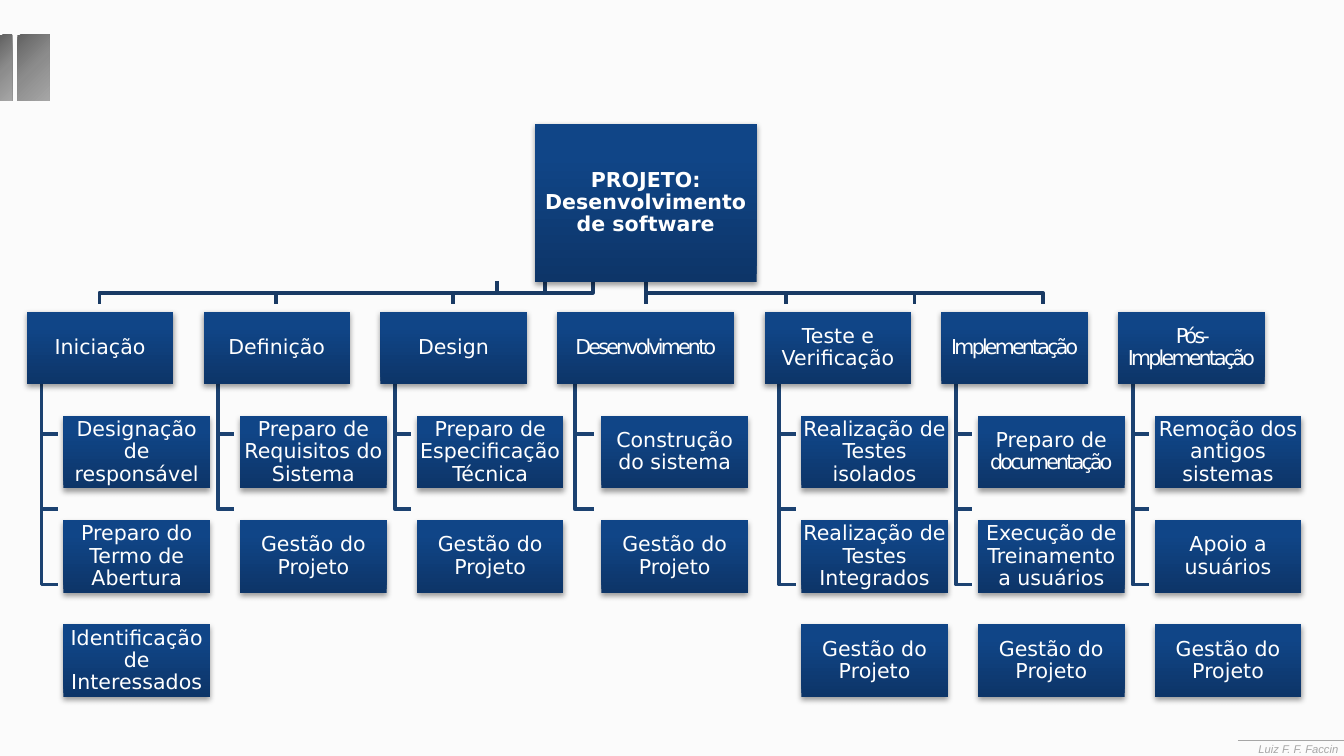
from lxml import etree
from pptx import Presentation
from pptx.dml.color import RGBColor
from pptx.enum.shapes import MSO_CONNECTOR, MSO_SHAPE
from pptx.enum.text import MSO_ANCHOR, PP_ALIGN
from pptx.oxml.ns import qn
from pptx.util import Inches, Pt

RECTANGLE = MSO_SHAPE.RECTANGLE
STRAIGHT = MSO_CONNECTOR.STRAIGHT
MIDDLE = MSO_ANCHOR.MIDDLE
CENTER = PP_ALIGN.CENTER

PAGE_WIDTH, PAGE_HEIGHT = 10, 10 * 9 / 16
BLUE_STOPS = [(0, "0D3568"), (80, "104587"), (100, "0E458A")]
GREY_STOPS = [(0, "626262"), (50, "8C8C8C"), (100, "A6A6A6")]
TRUNK_COLOR, SPINE_COLOR = "193A64", "1C4271"
GREY, WHITE, PAPER = "A6A6A6", "FFFFFF", "FBFBFB"

BOX_WIDTH, BOX_HEIGHT = 1.09, 0.54
PHASE_GAP, TASK_PITCH, TICK_PITCH = 0.45 / 2, 1.55 / 2, 0.56
TIGHT_WORDS = {"Desenvolvimento", "Implementação", "Pós-Implementação", "documentação"}
MANAGEMENT = ["Gestão do Projeto"]

PHASES = [
    ("Iniciação", BOX_WIDTH, [["Designação de responsável"], ["Preparo do Termo de Abertura"],
                              ["Identificação de Interessados"]]),
    ("Definição", BOX_WIDTH, [["Preparo de Requisitos do Sistema"], MANAGEMENT]),
    ("Design", BOX_WIDTH, [["Preparo de Especificação Técnica"], MANAGEMENT]),
    ("Desenvolvimento", 1.32, [["Construção do sistema"], MANAGEMENT]),
    ("Teste e Verificação", BOX_WIDTH, [["Realização de Testes isolados"],
                                        ["Realização de Testes Integrados"], MANAGEMENT]),
    ("Implementação", BOX_WIDTH, [["Preparo de ", "documentação"],
                                  ["Execução de Treinamento a usuários"], MANAGEMENT]),
    ("Pós-Implementação", BOX_WIDTH, [["Remoção dos antigos sistemas"],
                                      ["Apoio a usuários"], MANAGEMENT]),
]


def color(value):
    """Turn a hex string into a colour."""
    return RGBColor.from_string(value)


def add_gradient_box(page, left, top, width, height, stops, angle):
    """Add a borderless rectangle with a gradient, its angle counter-clockwise."""
    box = page.shapes.add_shape(RECTANGLE, Inches(left), Inches(top), Inches(width), Inches(height))
    box.shadow.inherit = False
    box.line.fill.background()
    box.fill.gradient()
    box.fill.gradient_angle = angle
    stop_list = box._element.spPr.find(".//" + qn("a:gsLst"))
    for old_stop in list(stop_list):
        stop_list.remove(old_stop)
    for position, value in stops:
        stop = etree.SubElement(stop_list, qn("a:gs"), pos=str(position * 1000))
        etree.SubElement(stop, qn("a:srgbClr"), val=value)
    return box


def add_drop_shadow(box):
    """Give a box a soft shadow falling straight down."""
    effects = box._element.spPr.find(qn("a:effectLst"))
    shadow = etree.SubElement(effects, qn("a:outerShdw"), blurRad=str(Pt(3.1)), dist=str(Pt(1.6)),
                              dir="5400000", rotWithShape="0")
    tint = etree.SubElement(shadow, qn("a:srgbClr"), val="000000")
    etree.SubElement(tint, qn("a:alpha"), val="38000")


def set_margins(frame, margin):
    """Set all four text margins of a frame."""
    frame.margin_left = frame.margin_right = Inches(margin)
    frame.margin_top = frame.margin_bottom = Inches(margin)


def add_chart_box(page, left, top, width, height, texts, bold=False):
    """Add one labelled blue box of the breakdown."""
    box = add_gradient_box(page, left, top, width, height, BLUE_STOPS, 90)
    add_drop_shadow(box)
    frame = box.text_frame
    frame.word_wrap = True
    frame.vertical_anchor = MIDDLE
    set_margins(frame, 0.01)
    para = frame.paragraphs[0]
    para.alignment = CENTER
    para.line_spacing = 0.9
    for text in texts:
        span = para.add_run()
        span.text = text
        span.font.size = Pt(11)
        span.font.name = "DejaVu Sans"
        span.font.bold = bold
        span.font.color.rgb = color(WHITE)
        if text in TIGHT_WORDS:
            span._r.get_or_add_rPr().set("spc", "-150")


def add_elbow(page, points, line_color):
    """Draw an open bent line through the points."""
    corners = [(Inches(x), Inches(y)) for x, y in points]
    builder = page.shapes.build_freeform(*corners[0])
    builder.add_line_segments(corners[1:], close=False)
    elbow = builder.convert_to_shape()
    elbow.shadow.inherit = False
    elbow.fill.background()
    elbow.line.color.rgb = color(line_color)
    elbow.line.width = Pt(2)


def add_decoration(page):
    """Add the grey marks at the left edge and the signature at the bottom right."""
    for left, width in ((0.13, 0.24), (0, 0.09)):
        add_gradient_box(page, left, 0.26, width, 0.49, GREY_STOPS, 315)
    rule = page.shapes.add_connector(STRAIGHT, Inches(9.21), Inches(5.51),
                                     Inches(PAGE_WIDTH), Inches(5.51))
    rule.line.color.rgb = color(GREY)
    rule.line.width = Pt(0.5)
    etree.SubElement(rule._element.spPr, qn("a:effectLst"))
    box = page.shapes.add_textbox(Inches(9.32), Inches(5.52), Inches(0.68), Inches(0.1))
    frame = box.text_frame
    frame.word_wrap = False
    set_margins(frame, 0)
    para = frame.paragraphs[0]
    para.alignment = CENTER
    span = para.add_run()
    span.text = "Luiz F. F. Faccin"
    span.font.size = Pt(6)
    span.font.name = "Arial"
    span.font.italic = True
    span.font.color.rgb = color(GREY)


def add_project(page, left, top, width, height):
    """Add the project box and the lines that leave it."""
    center, bottom = left + width / 2, top + height
    routes = [(3.70 + 0.71 / 2 * i, 0.74 + 2.63 / 2 * i) for i in range(3)]
    routes += [(center, center)]
    routes += [(center, 5.85 + 1.91 / 2 * i) for i in range(3)]
    for start, end in routes:
        points = [(start, bottom - 0.01), (start, bottom + 0.08),
                  (end, bottom + 0.08), (end, bottom + 0.16)]
        if start == end:
            points = [points[0], points[-1]]
        add_elbow(page, points, TRUNK_COLOR)
    add_chart_box(page, left, top, width, height, ["PROJETO: Desenvolvimento de software"], bold=True)


def add_phase(page, left, top, width, name, tasks):
    """Add a phase box with its spine and its tasks below."""
    spine, bottom = left + width * 0.1, top + BOX_HEIGHT
    for i in range(len(tasks)):
        tick = bottom + 0.37 + TICK_PITCH * i
        points = [(spine, bottom), (spine, tick), (spine + width * 0.11, tick)]
        add_elbow(page, points, SPINE_COLOR)
    add_chart_box(page, left, top, width, BOX_HEIGHT, [name])
    for i, texts in enumerate(tasks):
        add_chart_box(page, left + width / 4, top + TASK_PITCH * (i + 1),
                      BOX_WIDTH, BOX_HEIGHT, texts)


def main():
    """Build the work breakdown slide."""
    deck = Presentation()
    deck.slide_width, deck.slide_height = Inches(PAGE_WIDTH), Inches(PAGE_HEIGHT)
    page = deck.slides.add_slide(deck.slide_layouts[6])
    page.background.fill.solid()
    page.background.fill.fore_color.rgb = color(PAPER)
    add_decoration(page)
    add_project(page, 3.98, 0.92, 1.65, 1.18)
    left = 0.2
    for name, width, tasks in PHASES:
        add_phase(page, left, 2.32, width, name, tasks)
        left += width + PHASE_GAP
    deck.save("out.pptx")


if __name__ == "__main__":
    main()
